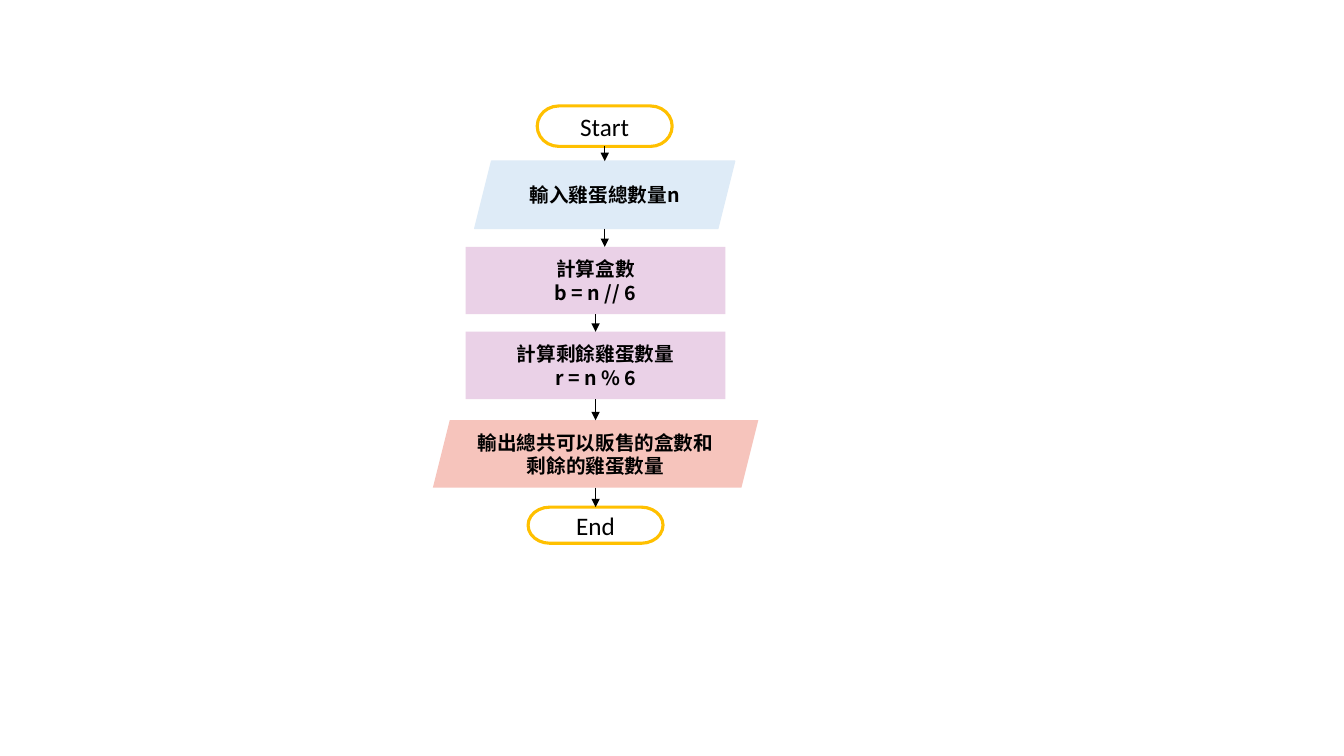
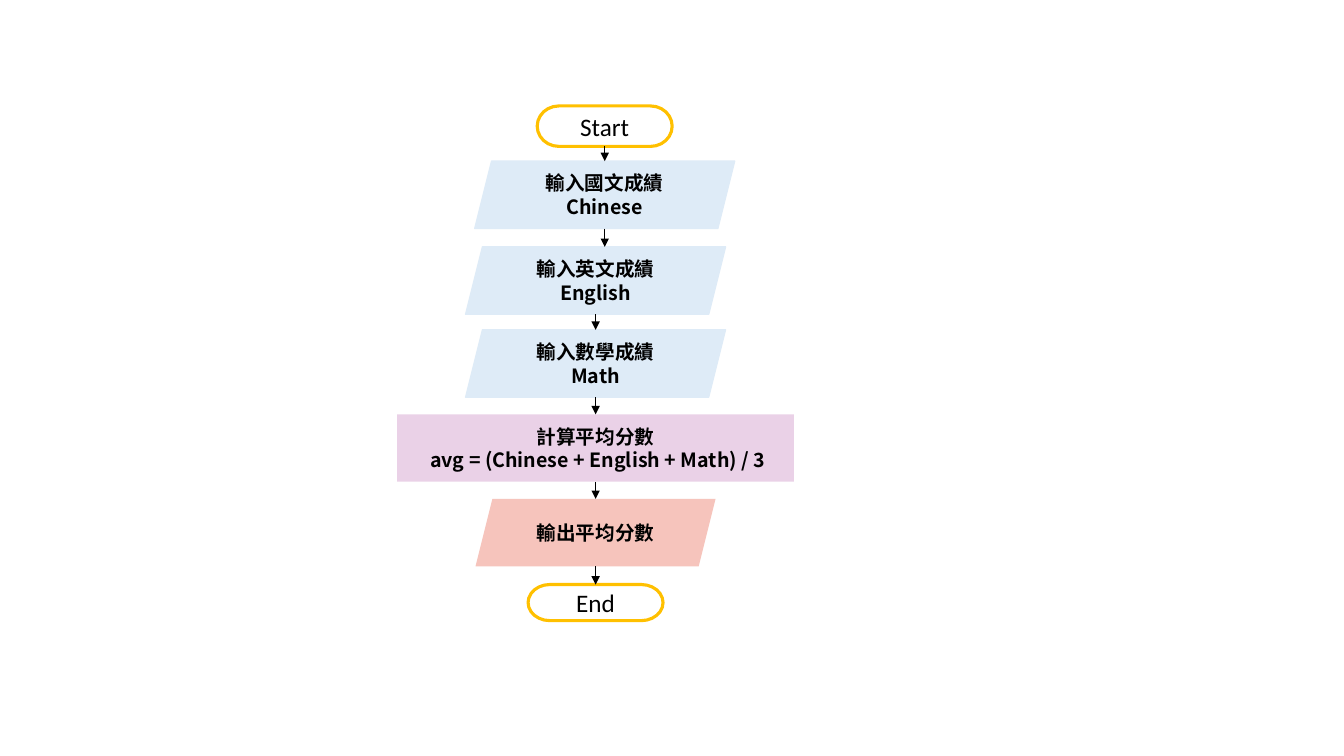
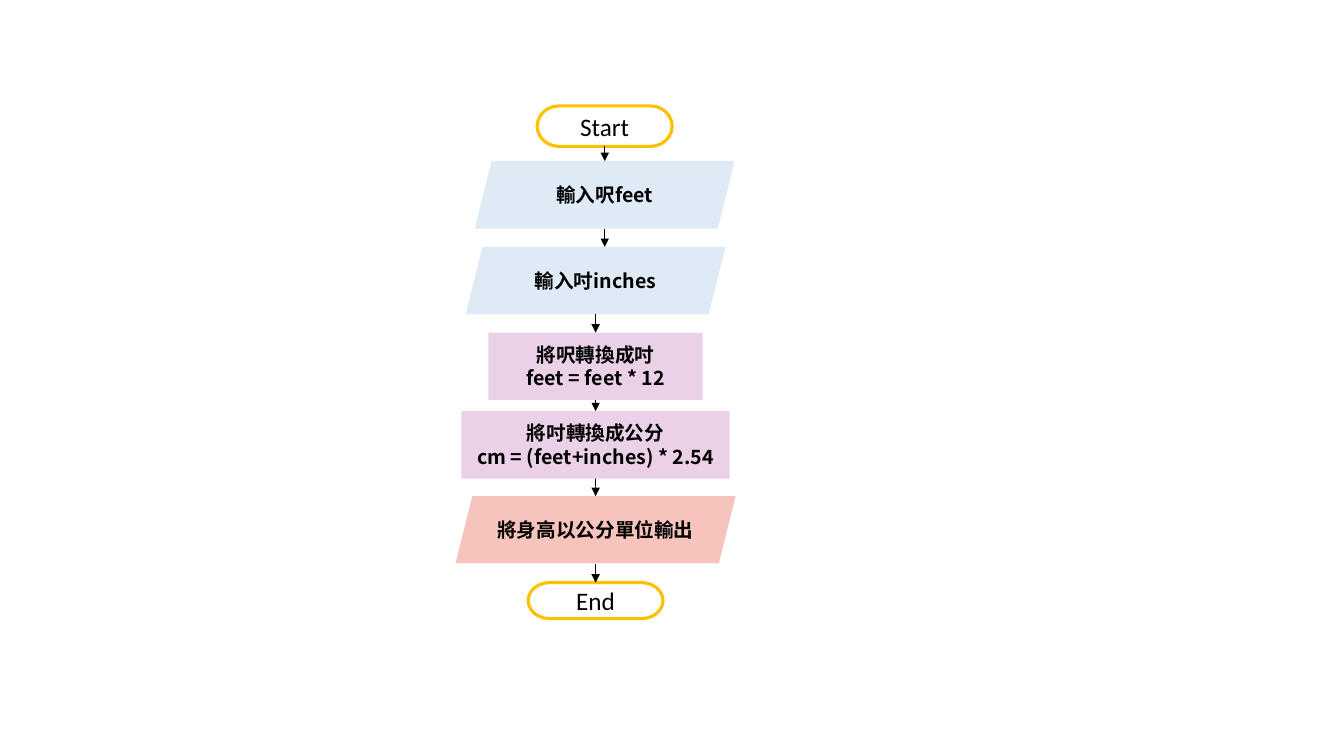
from itertools import pairwise

from pptx import Presentation
from pptx.dml.color import RGBColor as Rgb
from pptx.enum.shapes import MSO_CONNECTOR as Link, MSO_SHAPE as Form
from pptx.enum.text import MSO_ANCHOR as Anchor, PP_ALIGN as Align
from pptx.oxml.ns import qn
from pptx.util import Cm, Pt

FLOWS = [
    dict(edge=True, end=12.78, steps=[
        ("input", 4.06, 6.55, ["輸入雞蛋總數量n"]),
        ("work", 6.22, 6.55, ["計算盒數", "b = n // 6"]),
        ("work", 8.36, 6.55, ["計算剩餘雞蛋數量", "r = n % 6"]),
        ("output", 10.59, 8.2, ["輸出總共可以販售的盒數和剩餘的雞蛋數量"]),
    ]),
    dict(edge=True, end=14.73, steps=[
        ("input", 4.06, 6.55, ["輸入國文成績Chinese"]),
        ("input", 6.22, 6.55, ["輸入英文成績", "English"]),
        ("input", 8.31, 6.55, ["輸入數學成績", "Math"]),
        ("work", 10.44, 10, ["計算平均分數", " avg = (Chinese + English + Math) / 3"]),
        ("output", 12.57, 6.05, ["輸出平均分數"]),
    ]),
    dict(edge=False, end=14.68, steps=[
        ("input", 4.06, 6.55, ["輸入呎feet"]),
        ("input", 6.22, 6.55, ["輸入吋inches"]),
        ("work", 8.38, 5.4, ["將呎轉換成吋", "feet = feet * 12"]),
        ("work", 10.36, 6.76, ["將吋轉換成公分", "cm = (feet+inches) * 2.54"]),
        ("output", 12.5, 7.06, ["將身高以公分單位輸出"]),
    ]),
]

THEME = dict(
    ink="000000", ring="FFC000", ring_w=2.25, edge_w=1, arrow_w=0.5,
    input=(Form.PARALLELOGRAM, "DEEBF7"),
    work=(Form.RECTANGLE, "EAD1E7"),
    output=(Form.PARALLELOGRAM, "F6C4BC"),
    cap=(Form.FLOWCHART_TERMINATOR, "FFFFFF"),
    body=dict(size=14, font="Noto Sans CJK SC", bold=True),
    label=dict(size=18, font="Calibri", bold=False),
)
HEAD_X, MAIN_X = 15.24, 15.01
CAP_W, START_Y, START_H, END_H, STEP_H = 3.4, 2.67, 1.02, 0.91, 1.7


def write(shape, lines, size, font, bold):
    frame = shape.text_frame
    frame.word_wrap = True
    frame.vertical_anchor = Anchor.MIDDLE
    for i, line in enumerate(lines):
        para = frame.paragraphs[0] if i == 0 else frame.add_paragraph()
        para.alignment = Align.CENTER
        run = para.add_run()
        run.text = line
        run.font.size = Pt(size)
        run.font.bold = bold
        run.font.color.rgb = Rgb.from_string(THEME["ink"])
        run.font.name = font
        asian = run.font._element.makeelement(qn("a:ea"), {"typeface": font})
        run.font._element.find(qn("a:latin")).addnext(asian)


def add_node(slide, kind, mid, top, wide, high, lines, line=None):
    form, fill = THEME[kind]
    shape = slide.shapes.add_shape(
        form, Cm(mid - wide / 2), Cm(top), Cm(wide), Cm(high))
    shape.shadow.inherit = False
    shape.fill.solid()
    shape.fill.fore_color.rgb = Rgb.from_string(fill)
    if line:
        shape.line.color.rgb = Rgb.from_string(line[0])
        shape.line.width = Pt(line[1])
    else:
        shape.line.fill.background()
    write(shape, lines, **THEME["label" if kind == "cap" else "body"])
    return shape, kind, mid, top, top + high


def add_arrow(slide, upper, lower):
    above, kind_a, x, _, y = upper
    below, kind_b, mid, top, _ = lower
    straight = abs(mid - x) > 0.1
    arrow = slide.shapes.add_connector(
        Link.STRAIGHT, Cm(x), Cm(y), Cm(x if straight else mid), Cm(top))
    if kind_a in ("work", "cap"):
        arrow.begin_connect(above, 2)
    if kind_b in ("work", "cap") and not straight:
        arrow.end_connect(below, 0)
    arrow.line.color.rgb = Rgb.from_string(THEME["ink"])
    arrow.line.width = Pt(THEME["arrow_w"])
    props = arrow._element.spPr
    line = props.find(qn("a:ln"))
    line.append(line.makeelement(qn("a:tailEnd"), {"type": "triangle"}))
    props.append(props.makeelement(qn("a:effectLst"), {}))


def add_flow(slide, edge, end, steps):
    ring = THEME["ring"], THEME["ring_w"]
    nodes = [add_node(slide, "cap", HEAD_X, START_Y, CAP_W, START_H, ["Start"], ring)]
    for i, (kind, top, wide, lines) in enumerate(steps):
        rim = (THEME[kind][1], THEME["edge_w"]) if edge and kind == "input" else None
        mid = HEAD_X if i == 0 else MAIN_X
        nodes.append(add_node(slide, kind, mid, top, wide, STEP_H, lines, rim))
    nodes.append(add_node(slide, "cap", MAIN_X, end, CAP_W, END_H, ["End"], ring))
    for upper, lower in pairwise(nodes):
        add_arrow(slide, upper, lower)


def main():
    deck = Presentation()
    deck.slide_width, deck.slide_height = Cm(33.87), Cm(19.05)
    for flow in FLOWS:
        add_flow(deck.slides.add_slide(deck.slide_layouts[6]), **flow)
    deck.save("out.pptx")


if __name__ == "__main__":
    main()
